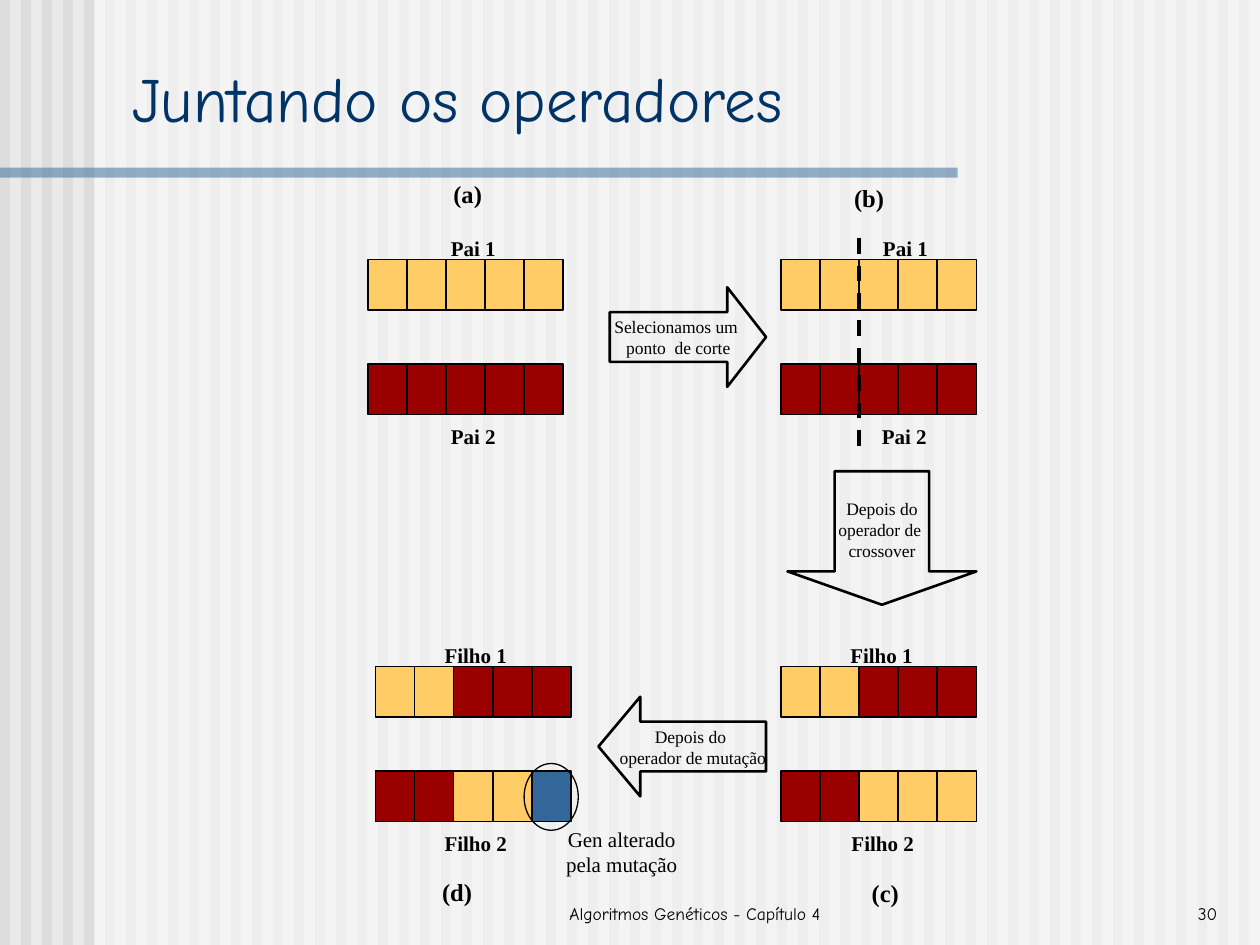
from dataclasses import dataclass
from typing import Any, Optional

from lxml import etree
from pptx import Presentation
from pptx.dml.color import RGBColor
from pptx.enum.dml import MSO_LINE
from pptx.enum.shapes import MSO_CONNECTOR, MSO_SHAPE
from pptx.enum.text import MSO_ANCHOR, MSO_AUTO_SIZE, PP_ALIGN
from pptx.oxml.ns import qn
from pptx.util import Inches, Pt

RECTANGLE, OVAL = MSO_SHAPE.RECTANGLE, MSO_SHAPE.OVAL
RIGHT_ARROW, DOWN_ARROW, LEFT_ARROW = MSO_SHAPE.RIGHT_ARROW, MSO_SHAPE.DOWN_ARROW, MSO_SHAPE.LEFT_ARROW
STRAIGHT, DASH = MSO_CONNECTOR.STRAIGHT, MSO_LINE.DASH
TOP, MIDDLE, BOTTOM = MSO_ANCHOR.TOP, MSO_ANCHOR.MIDDLE, MSO_ANCHOR.BOTTOM
LEFT, CENTER, RIGHT = PP_ALIGN.LEFT, PP_ALIGN.CENTER, PP_ALIGN.RIGHT
FIT_TEXT, NO_FIT = MSO_AUTO_SIZE.SHAPE_TO_FIT_TEXT, MSO_AUTO_SIZE.NONE


@dataclass(frozen=True)
class Theme:
    background: str = "EAEAEA"
    stripe: str = "DDDDDD"
    veil: str = "FFFFFF"
    accent: str = "336699"
    title: str = "003366"
    ink: str = "000000"
    yellow: str = "FFCC66"
    red: str = "9A0000"
    display_font: str = "Comic Neue"
    body_font: str = "Times New Roman"
    title_size: int = 36
    panel_size: int = 14
    label_size: int = 12
    small_size: int = 10


THEME = Theme()
GENE_COLORS = {"Y": THEME.yellow, "R": THEME.red, "B": THEME.accent}
GENE_WIDTH, GENE_HEIGHT = 0.31, 0.4


@dataclass(frozen=True)
class Box:
    left: float
    top: float
    width: float
    height: float

    def lengths(self) -> list:
        return [Inches(v) for v in (self.left, self.top, self.width, self.height)]


@dataclass(frozen=True)
class Chromosome:
    left: float
    top: float
    genes: str


@dataclass(frozen=True)
class Label:
    text: str
    box: Box
    size: int = THEME.label_size
    bold: bool = True
    align: Any = LEFT
    anchor: Any = TOP
    wrap: bool = False
    font: str = THEME.body_font
    color: str = THEME.ink


@dataclass(frozen=True)
class StepArrow:
    kind: Any
    box: Box
    head: float
    text: str


# Content
CHROMOSOMES = [
    Chromosome(2.92, 2.06, "YYYYY"), Chromosome(2.92, 2.89, "RRRRR"),
    Chromosome(6.2, 2.06, "YYYYY"), Chromosome(6.2, 2.89, "RRRRR"),
    Chromosome(6.2, 5.29, "YYRRR"), Chromosome(6.2, 6.12, "RRYYY"),
    Chromosome(2.98, 5.29, "YYRRR"), Chromosome(2.98, 6.12, "RRYYB"),
]
LABELS = [
    Label("Juntando os operadores", Box(0.95, 0.42, 8.93, 0.7), THEME.title_size, False,
          anchor=BOTTOM, wrap=True, font=THEME.display_font, color=THEME.title),
    Label("(a)", Box(3.5, 1.37, 0.43, 0.34), THEME.panel_size),
    Label("(b)", Box(6.68, 1.4, 0.48, 0.34), THEME.panel_size),
    Label("(c)", Box(6.82, 6.92, 0.45, 0.34), THEME.panel_size),
    Label("(d)", Box(3.41, 6.91, 0.48, 0.34), THEME.panel_size),
    Label("Pai 1", Box(3.48, 1.82, 0.6, 0.3)),
    Label("Pai 2", Box(3.48, 3.31, 0.6, 0.3)),
    Label("Pai 1", Box(6.91, 1.82, 0.6, 0.3)),
    Label("Pai 2", Box(6.9, 3.31, 0.6, 0.3)),
    Label("Filho 1", Box(6.65, 5.05, 0.77, 0.3)),
    Label("Filho 2", Box(6.66, 6.54, 0.77, 0.3)),
    Label("Filho 1", Box(3.43, 5.05, 0.77, 0.3)),
    Label("Filho 2", Box(3.43, 6.54, 0.77, 0.3)),
    Label("Gen alterado\npela mutação", Box(4.3, 6.51, 1.27, 0.5), bold=False, align=CENTER),
    Label("Algoritmos Genéticos - Capítulo 4", Box(3.93, 6.88, 3.17, 0.5), THEME.small_size, False,
          CENTER, BOTTOM, True, THEME.display_font),
    Label("30", Box(7.68, 6.88, 2.08, 0.5), THEME.small_size, False,
          RIGHT, BOTTOM, True, THEME.display_font),
]
ARROWS = [
    StepArrow(RIGHT_ARROW, Box(4.84, 2.28, 1.24, 0.79), 0.39, "Selecionamos um \nponto  de corte"),
    StepArrow(DOWN_ARROW, Box(6.25, 3.74, 1.5, 1.06), 0.25, "Depois do\noperador de \ncrossover"),
    StepArrow(LEFT_ARROW, Box(4.75, 5.53, 1.33, 0.79), 0.42, "Depois do \noperador de mutação"),
]


def add_block(slide, kind, box: Box, fill: Optional[str] = None,
              line_width: Optional[float] = None, alpha: Optional[int] = None):
    block = slide.shapes.add_shape(kind, *box.lengths())
    block.shadow.inherit = False
    if fill:
        block.fill.solid()
        block.fill.fore_color.rgb = RGBColor.from_string(fill)
    else:
        block.fill.background()
    if line_width:
        block.line.color.rgb = RGBColor.from_string(THEME.ink)
        block.line.width = Pt(line_width)
    else:
        block.line.fill.background()
    if alpha is not None:
        color = block.fill._xPr.find(f".//{qn('a:srgbClr')}")
        etree.SubElement(color, qn("a:alpha")).set("val", str(alpha * 1000))
    return block


def write_text(frame, label: Label, auto_size) -> None:
    frame.text = label.text
    frame_format = {"word_wrap": label.wrap, "vertical_anchor": label.anchor, "auto_size": auto_size}
    font_format = {"name": label.font, "size": Pt(label.size), "bold": label.bold}
    for name, value in frame_format.items():
        setattr(frame, name, value)
    for paragraph in frame.paragraphs:
        paragraph.alignment = label.align
        for run in paragraph.runs:
            for name, value in font_format.items():
                setattr(run.font, name, value)
            run.font.color.rgb = RGBColor.from_string(label.color)


def add_label(slide, label: Label) -> None:
    frame = slide.shapes.add_textbox(*label.box.lengths()).text_frame
    write_text(frame, label, NO_FIT if label.wrap else FIT_TEXT)


def add_chromosome(slide, chromosome: Chromosome) -> None:
    for index, gene in enumerate(chromosome.genes):
        box = Box(chromosome.left + index * GENE_WIDTH, chromosome.top, GENE_WIDTH, GENE_HEIGHT)
        add_block(slide, RECTANGLE, box, GENE_COLORS[gene], 1)


def add_step_arrow(slide, step: StepArrow) -> None:
    arrow = add_block(slide, step.kind, step.box, line_width=1.5)
    arrow.adjustments[0], arrow.adjustments[1] = 0.5, step.head
    label = Label(step.text, step.box, THEME.small_size, False, CENTER, MIDDLE)
    write_text(arrow.text_frame, label, NO_FIT)


def add_cut_line(slide, x: float, top: float, bottom: float) -> None:
    cut = slide.shapes.add_connector(STRAIGHT, Inches(x), Inches(top), Inches(x), Inches(bottom))
    cut.line.color.rgb = RGBColor.from_string(THEME.ink)
    cut.line.width, cut.line.dash_style = Pt(2.25), DASH
    etree.SubElement(cut._element.spPr, qn("a:effectLst"))


def main() -> None:
    deck = Presentation()
    deck.slide_width, deck.slide_height = Inches(10), Inches(7.5)
    slide = deck.slides.add_slide(deck.slide_layouts[6])

    # Striped background, veil and title rule
    slide.background.fill.solid()
    slide.background.fill.fore_color.rgb = RGBColor.from_string(THEME.background)
    for index in range(60):
        add_block(slide, RECTANGLE, Box(index / 6, 0, 0.08, 7.5), THEME.stripe)
    add_block(slide, RECTANGLE, Box(0.75, 0, 9.25, 7.5), THEME.veil, alpha=50)
    add_block(slide, RECTANGLE, Box(0, 1.33, 7.6, 0.08), THEME.accent, alpha=50)

    # Chromosomes, cut point and mutated gene
    for chromosome in CHROMOSOMES:
        add_chromosome(slide, chromosome)
    add_cut_line(slide, 6.82, 1.89, 3.54)
    add_block(slide, OVAL, Box(4.16, 6.06, 0.43, 0.53), line_width=0.75)

    # Steps and labels
    for step in ARROWS:
        add_step_arrow(slide, step)
    for label in LABELS:
        add_label(slide, label)

    deck.save("out.pptx")


if __name__ == "__main__":
    main()
